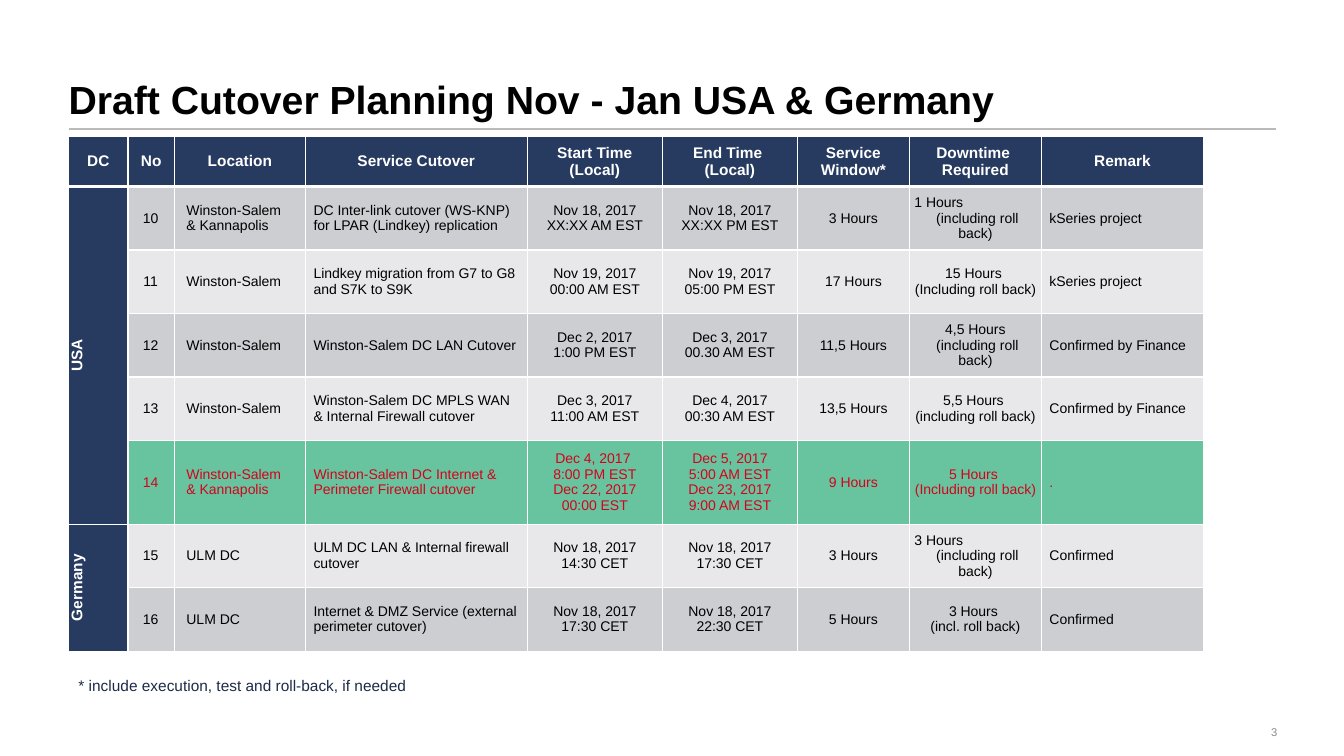
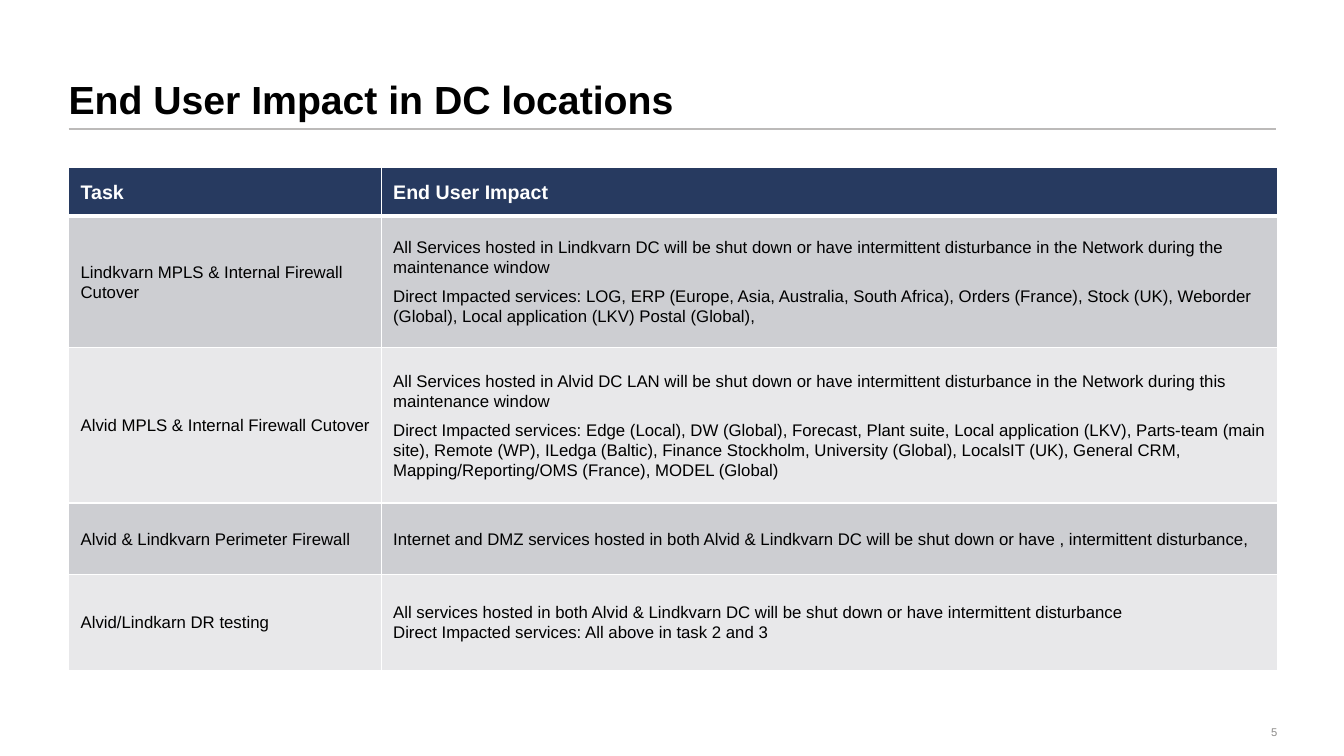
from dataclasses import dataclass

from lxml.etree import SubElement
from pptx import Presentation
from pptx.dml.color import RGBColor
from pptx.enum.shapes import MSO_CONNECTOR
from pptx.enum.text import MSO_ANCHOR, MSO_AUTO_SIZE, PP_ALIGN
from pptx.oxml.ns import qn
from pptx.util import Inches, Pt


@dataclass(frozen=True)
class Theme:
    font: str = "Arial"
    black: str = "000000"
    white: str = "FFFFFF"
    navy: str = "273A60"
    ink: str = "1D2B48"
    dark_band: str = "CDCED2"
    light_band: str = "E8E8EA"
    green: str = "68C49F"
    red: str = "D4021D"
    rule: str = "BCBAB9"
    grey: str = "8C8A88"
    title: int = 28
    note: int = 11
    number: int = 8
    left: float = 0.68
    right: float = 12.66


@dataclass(frozen=True)
class TableStyle:
    head_size: int
    body_size: int
    head_aligns: str
    body_aligns: str
    head_insets: tuple
    body_insets: tuple
    line_spacing: float = 1.0
    space_before: int = 0
    label_column: bool = False
    highlight_row: int = 0


T = Theme()
ALIGN = {"l": PP_ALIGN.LEFT, "c": PP_ALIGN.CENTER, "r": PP_ALIGN.RIGHT}

PLAN_STYLE = TableStyle(
    11, 10, "c" * 9, "ccllccccl", (0.05,) * 9,
    (0.05, 0.04, 0.12, 0.08, 0.05, 0.05, 0.05, 0.05, 0.08),
    label_column=True, highlight_row=5,
)
IMPACT_STYLE = TableStyle(
    14, 12, "ll", "ll", (0.12, 0.12), (0.12, 0.12),
    line_spacing=1.07, space_before=6,
)

PLAN_COLS = [0.59, 0.46, 1.3, 2.2, 1.34, 1.34, 1.11, 1.31, 1.61]
PLAN_ROWS = [0.5] + [0.63] * 4 + [0.83] + [0.63] * 2
PLAN = [
    ["DC", "No", "Location", "Service Cutover", "Start Time (Local)",
     "End Time \n(Local)", "Service Window*", "Downtime \vRequired", "Remark"],
    ["USA", "10", "Winston-Salem\v& Kannapolis",
     "DC Inter-link cutover (WS-KNP) for LPAR (Lindkey) replication ",
     "Nov 18, 2017\nXX:XX AM EST", "Nov 18, 2017\nXX:XX PM EST",
     "3 Hours", "1 Hours\n (including roll back)", "kSeries project"],
    ["", "11", "Winston-Salem", "Lindkey migration from G7 to G8 and S7K to S9K",
     "Nov 19, 2017\n00:00 AM EST", "Nov 19, 2017\n05:00 PM EST",
     "17 Hours", "15 Hours \n(Including roll back)", "kSeries project"],
    ["", "12", "Winston-Salem", "Winston-Salem DC LAN Cutover",
     "Dec 2, 2017\n1:00 PM EST", "Dec 3, 2017\n00.30 AM EST",
     "11,5 Hours", "4,5 Hours\n (including roll back)", "Confirmed by Finance"],
    ["", "13", "Winston-Salem", "Winston-Salem DC MPLS WAN & Internal Firewall cutover",
     "Dec 3, 2017\n11:00 AM EST", "Dec 4, 2017\n00:30 AM EST",
     "13,5 Hours", "5,5 Hours \n(including roll back)", "Confirmed by Finance"],
    ["", "14", "Winston-Salem\v& Kannapolis",
     "Winston-Salem DC Internet & \nPerimeter Firewall cutover",
     "Dec 4, 2017 \n8:00 PM EST\nDec 22, 2017\n00:00 EST",
     "Dec 5, 2017\n5:00 AM EST\nDec 23, 2017\n9:00 AM EST",
     "9 Hours", "5 Hours \n(Including roll back)", "."],
    ["Germany", "15", "ULM DC", "ULM DC LAN & Internal firewall cutover",
     "Nov 18, 2017\n14:30 CET", "Nov 18, 2017\n17:30 CET",
     "3 Hours", "3 Hours\n (including roll back)", "Confirmed"],
    ["", "16", "ULM DC", "Internet & DMZ Service (external perimeter cutover)",
     "Nov 18, 2017\n17:30 CET", "Nov 18, 2017\n22:30 CET",
     "5 Hours", "3 Hours \n(incl. roll back)", "Confirmed"],
]

IMPACT_COLS = [3.1, 8.89]
IMPACT_ROWS = [0.48, 1.31, 1.54, 0.71, 0.95]
IMPACT = [
    ["Task", "End User\u00a0Impact"],
    ["Lindkvarn MPLS & Internal Firewall Cutover",
     "All Services hosted in Lindkvarn DC will be shut down or have intermittent "
     "disturbance in the Network during the maintenance window\n"
     "Direct Impacted services: LOG, ERP (Europe, Asia, Australia, South Africa), "
     "Orders (France), Stock (UK), Weborder (Global), Local application (LKV) "
     "Postal (Global), "],
    ["Alvid MPLS & Internal Firewall Cutover",
     "All Services hosted in Alvid DC LAN will be shut down or have intermittent "
     "disturbance in the Network during this maintenance window\n"
     "Direct Impacted services: Edge (Local), DW (Global), Forecast, Plant suite, "
     "Local application (LKV), Parts-team (main site), Remote (WP), ILedga (Baltic), "
     "Finance Stockholm, University (Global), LocalsIT (UK), General CRM, "
     "Mapping/Reporting/OMS (France), MODEL (Global)"],
    ["Alvid & Lindkvarn Perimeter Firewall",
     "Internet and DMZ services hosted in both Alvid & Lindkvarn DC will be shut down "
     "or have , intermittent disturbance, "],
    ["Alvid/Lindkarn DR testing",
     "All services hosted in both Alvid & Lindkvarn DC will be shut down or have "
     "intermittent disturbance\vDirect Impacted services: All above in task 2 and 3"],
]


def rgb(color):
    return RGBColor.from_string(color)


def write(tf, text, size, color, bold=False, align="l", spacing=None, before=0):
    for i, para in enumerate(text.split("\n")):
        p = tf.add_paragraph() if i else tf.paragraphs[0]
        p.alignment = ALIGN[align]
        p.line_spacing = spacing
        if i:
            p.space_before = Pt(before)
        for j, line in enumerate(para.split("\v")):
            if j:
                p.add_line_break()
            r = p.add_run()
            r.text = line
            r.font.name, r.font.size, r.font.bold = T.font, Pt(size), bold
            r.font.color.rgb = rgb(color)


def set_insets(box, left=0, top=0, right=0, bottom=0):
    box.margin_left, box.margin_top = Inches(left), Inches(top)
    box.margin_right, box.margin_bottom = Inches(right), Inches(bottom)


def add_text(s, box, text, size, color, align="l"):
    tf = s.shapes.add_textbox(*map(Inches, box)).text_frame
    tf.word_wrap = False
    tf.auto_size = MSO_AUTO_SIZE.SHAPE_TO_FIT_TEXT
    write(tf, text, size, color, align=align)
    return tf


def add_frame(prs, title, title_width, number):
    s = prs.slides.add_slide(prs.slide_layouts[5])
    line = s.shapes.add_connector(
        MSO_CONNECTOR.STRAIGHT, Inches(T.left), Inches(1.28), Inches(T.right), Inches(1.28))
    line.line.color.rgb = rgb(T.rule)
    line.line.width = Pt(1)
    SubElement(line._element.spPr, qn("a:effectLst"))

    sp = s.shapes.title
    sp.left, sp.top = Inches(T.left), Inches(-0.04)
    sp.width, sp.height = Inches(title_width), Inches(1.25)
    tf = sp.text_frame
    tf.auto_size = MSO_AUTO_SIZE.NONE
    tf.vertical_anchor = MSO_ANCHOR.BOTTOM
    set_insets(tf)
    write(tf, title, T.title, T.black, bold=True)

    tf = add_text(s, (12.53, 7.2, 0.14, 0.13), number, T.number, T.grey, "r")
    tf.vertical_anchor = MSO_ANCHOR.BOTTOM
    set_insets(tf)
    return s


def set_borders(cell, top, bottom):
    tc_pr = cell._tc.get_or_add_tcPr()
    for side, width in (("L", 1), ("R", 1), ("T", top), ("B", bottom)):
        ln = SubElement(tc_pr, qn(f"a:ln{side}"), w=str(Pt(width)))
        fill = SubElement(ln, qn("a:solidFill"))
        SubElement(fill, qn("a:srgbClr"), val=T.white)


def format_cell(cell, text, i, j, style):
    label = style.label_column and j == 0 and i > 0
    head = i == 0 or label
    marked = i == style.highlight_row and not head
    if head:
        fill, color = T.navy, T.white
    elif marked:
        fill, color = T.green, T.red
    else:
        fill, color = (T.dark_band if i % 2 else T.light_band), T.black

    set_borders(cell, 3 if i == 1 else 1, 3 if i == 0 else 1)
    cell.fill.solid()
    cell.fill.fore_color.rgb = rgb(fill)
    cell.vertical_anchor = MSO_ANCHOR.MIDDLE
    insets = style.head_insets if head else style.body_insets
    set_insets(cell, left=insets[j], right=0.05)
    if label:
        cell._tc.get_or_add_tcPr().set("vert", "vert270")
    if text:
        write(cell.text_frame, text, style.head_size if head else style.body_size, color,
              head, (style.head_aligns if head else style.body_aligns)[j],
              style.line_spacing, style.space_before)


def add_grid(s, left, top, cols, rows, data, style):
    box = map(Inches, (left, top, sum(cols), sum(rows)))
    table = s.shapes.add_table(len(rows), len(cols), *box).table
    for col, width in zip(table.columns, cols):
        col.width = Inches(width)
    for row, height in zip(table.rows, rows):
        row.height = Inches(height)
    for i, texts in enumerate(data):
        for j, text in enumerate(texts):
            format_cell(table.cell(i, j), text, i, j, style)
    return table


def cutover_slide(prs):
    s = add_frame(prs, "Draft Cutover Planning Nov - Jan USA & Germany", 10.23, "3")
    table = add_grid(s, T.left, 1.35, PLAN_COLS, PLAN_ROWS, PLAN, PLAN_STYLE)
    for first, last in ((1, 5), (6, 7)):
        table.cell(first, 0).merge(table.cell(last, 0))
    for i in (1, 6):
        table.cell(i, 7).text_frame.paragraphs[0].alignment = PP_ALIGN.LEFT
    tf = add_text(s, (T.left, 6.67, 3.47, 0.28),
                  "* include execution, test and roll-back, if needed", T.note, T.ink)
    p = tf.paragraphs[0]
    p.line_spacing, p.space_before = 0.95, Pt(6)


def impact_slide(prs):
    s = add_frame(prs, "End User Impact in DC locations", 9.69, "5")
    add_grid(s, T.left, 1.66, IMPACT_COLS, IMPACT_ROWS, IMPACT, IMPACT_STYLE)


prs = Presentation()
prs.slide_width, prs.slide_height = Inches(13.33), Inches(7.5)
cutover_slide(prs)
impact_slide(prs)
prs.save("out.pptx")
